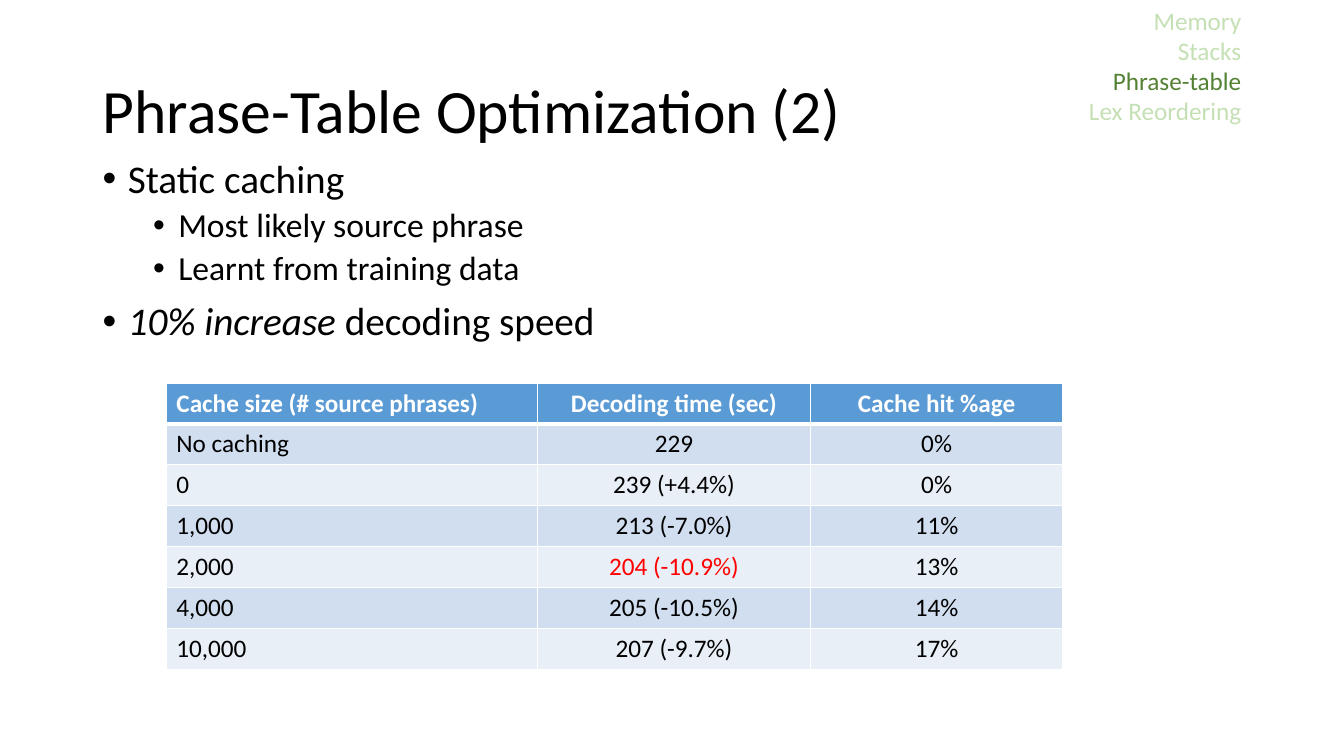
from dataclasses import dataclass
from lxml import etree
from pptx import Presentation
from pptx import util as u
from pptx.dml.color import RGBColor
from pptx.enum import text
from pptx.oxml import ns


@dataclass(frozen=True)
class Theme:
    font: str = "Calibri"
    ink: str = "000000"
    white: str = "FFFFFF"
    header: str = "5B9BD5"
    bands: tuple = ("D1DEEF", "E9EFF7")
    best: str = "FF0000"
    section: str = "C5E0B4"
    current: str = "548235"
    title_size: int = 44
    bullet_sizes: tuple = (28, 24)
    small_size: int = 18


THEME = Theme()

BULLETS = [
    (0, [("Static caching", False)]),
    (1, [("Most likely source phrase", False)]),
    (1, [("Learnt from training data", False)]),
    (0, [("10% increase ", True), ("decoding speed", False)]),
]
CACHE_ROWS = [
    ("Cache size (# source phrases)", "Decoding time (sec)", "Cache hit %age"),
    ("No caching", "229", "0%"),
    ("0", "239 (+4.4%)", "0%"),
    ("1,000", "213 (-7.0%)", "11%"),
    ("2,000", "204 (-10.9%)", "13%"),
    ("4,000", "205 (-10.5%)", "14%"),
    ("10,000", "207 (-9.7%)", "17%"),
]
BEST_TIME = "204 (-10.9%)"
SECTIONS = ["Memory", "Stacks", "Phrase-table", "Lex Reordering"]
CURRENT_SECTION = "Phrase-table"


def style(paragraph, size, color, bold=False, align=text.PP_ALIGN.LEFT):
    paragraph.alignment = align
    font = paragraph.font
    font.name = THEME.font
    font.size = u.Pt(size)
    font.bold = bold
    font.color.rgb = RGBColor.from_string(color)


def place(shape, left, top, width, height):
    shape.left, shape.top = u.Inches(left), u.Inches(top)
    shape.width, shape.height = u.Inches(width), u.Inches(height)


def set_title(slide, title):
    shape = slide.shapes.title
    place(shape, 0.92, 0.4, 11.5, 1.45)
    frame = shape.text_frame
    frame.text = title
    frame.vertical_anchor = text.MSO_ANCHOR.MIDDLE
    paragraph = frame.paragraphs[0]
    paragraph.line_spacing = 0.9
    style(paragraph, THEME.title_size, THEME.ink)


def add_text_box(slide, left, top, width, height):
    shape = slide.shapes.add_textbox(0, 0, 0, 0)
    place(shape, left, top, width, height)
    shape.text_frame.word_wrap = True
    return shape.text_frame


def add_paragraph(frame, index):
    return frame.add_paragraph() if index else frame.paragraphs[0]


def set_bullet(paragraph, level):
    properties = paragraph._p.get_or_add_pPr()
    properties.set("marL", str(u.Inches(0.25 + 0.5 * level)))
    properties.set("indent", str(u.Inches(-0.25)))
    etree.SubElement(properties, ns.qn("a:buFont")).set("typeface", "Arial")
    etree.SubElement(properties, ns.qn("a:buChar")).set("char", "•")


def add_bullets(slide, bullets):
    frame = add_text_box(slide, 0.92, 1.53, 11.5, 4.76)
    for index, (level, parts) in enumerate(bullets):
        paragraph = add_paragraph(frame, index)
        paragraph.level = level
        paragraph.line_spacing = 0.9
        paragraph.space_before = u.Pt(5 if level else 10)
        set_bullet(paragraph, level)
        style(paragraph, THEME.bullet_sizes[level], THEME.ink)
        for wording, italic in parts:
            run = paragraph.add_run()
            run.text = wording
            run.font.italic = italic


def add_section_list(slide, sections, current):
    frame = add_text_box(slide, 10.56, 0, 1.85, 1.3)
    for index, section in enumerate(sections):
        paragraph = add_paragraph(frame, index)
        paragraph.text = section
        color = THEME.current if section == current else THEME.section
        style(paragraph, THEME.small_size, color, align=text.PP_ALIGN.RIGHT)


def set_borders(cell, bottom_width):
    properties = cell._tc.get_or_add_tcPr()
    for side, width in zip("LRTB", (1, 1, 1, bottom_width)):
        line = etree.SubElement(properties, ns.qn(f"a:ln{side}"), w=str(u.Pt(width)))
        fill = etree.SubElement(line, ns.qn("a:solidFill"))
        etree.SubElement(fill, ns.qn("a:srgbClr"), val=THEME.white)


def fill_cell(cell, wording, row, column):
    header = row == 0
    set_borders(cell, 3 if header else 1)
    cell.fill.solid()
    band = THEME.header if header else THEME.bands[(row - 1) % 2]
    cell.fill.fore_color.rgb = RGBColor.from_string(band)
    cell.text = wording
    color = THEME.white if header else THEME.best if wording == BEST_TIME else THEME.ink
    align = text.PP_ALIGN.CENTER if column else text.PP_ALIGN.LEFT
    style(cell.text_frame.paragraphs[0], THEME.small_size, color, header, align)


def add_cache_table(slide, rows):
    widths = (3.68, 2.71, 2.5)
    table = slide.shapes.add_table(
        len(rows), len(widths), u.Inches(1.65), u.Inches(3.8),
        u.Inches(sum(widths)), u.Inches(2.84)).table
    for column, width in zip(table.columns, widths):
        column.width = u.Inches(width)
    for row, values in enumerate(rows):
        for column, wording in enumerate(values):
            fill_cell(table.cell(row, column), wording, row, column)


def main():
    presentation = Presentation()
    presentation.slide_width = u.Inches(13.33)
    presentation.slide_height = u.Inches(7.5)
    slide = presentation.slides.add_slide(presentation.slide_layouts[5])
    set_title(slide, "Phrase-Table Optimization (2)")
    add_bullets(slide, BULLETS)
    add_cache_table(slide, CACHE_ROWS)
    add_section_list(slide, SECTIONS, CURRENT_SECTION)
    presentation.save("out.pptx")


main()
